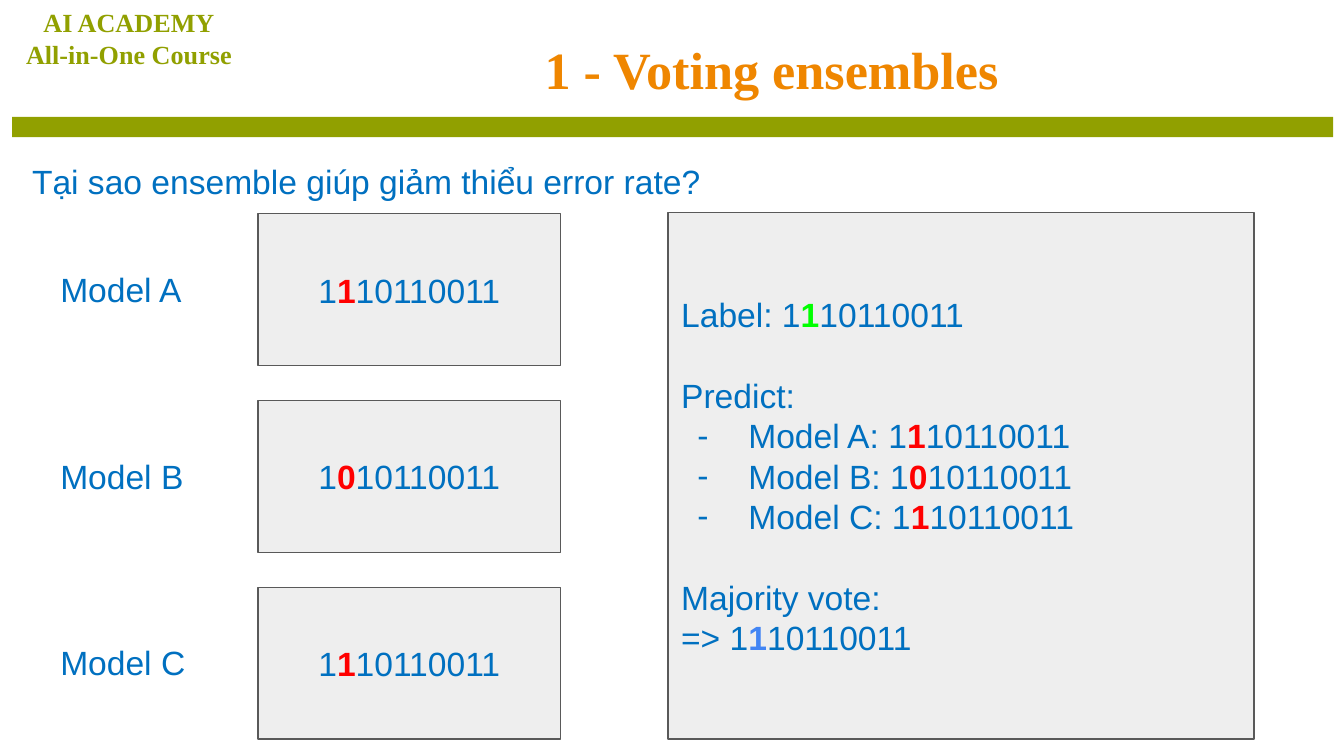
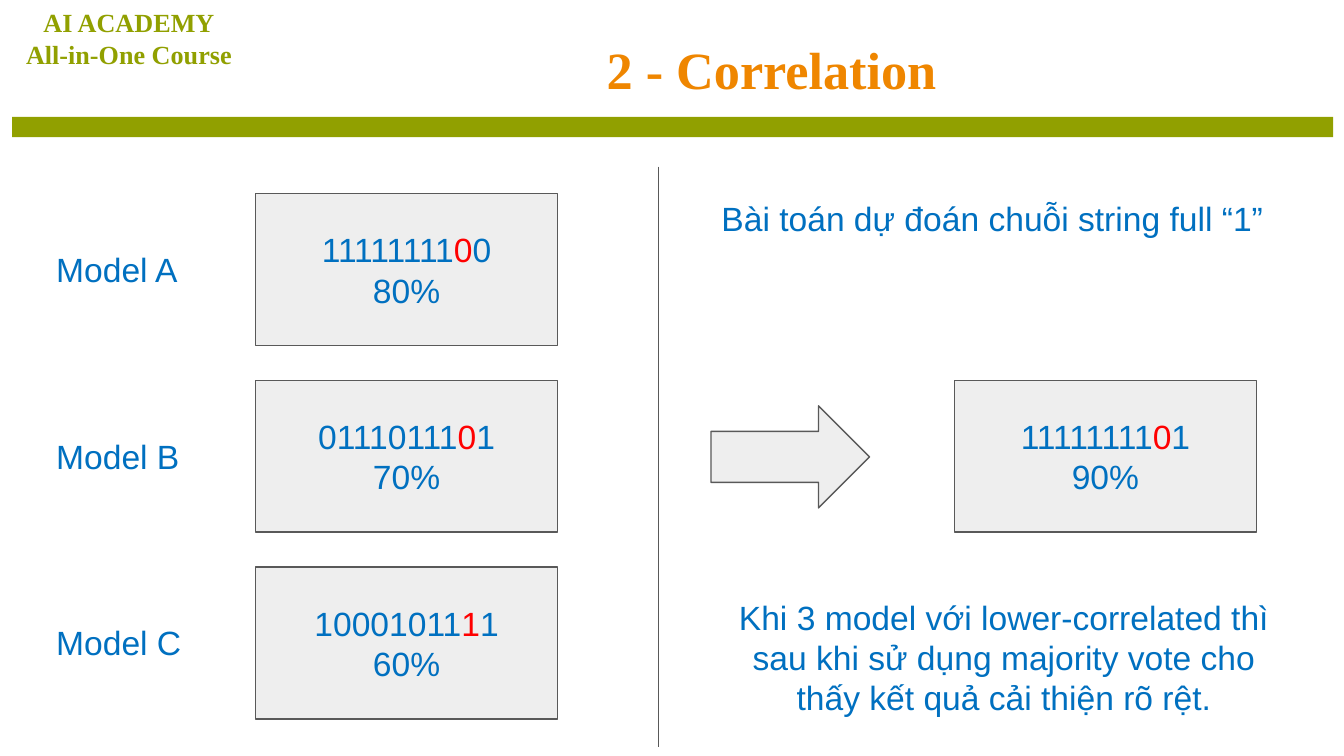
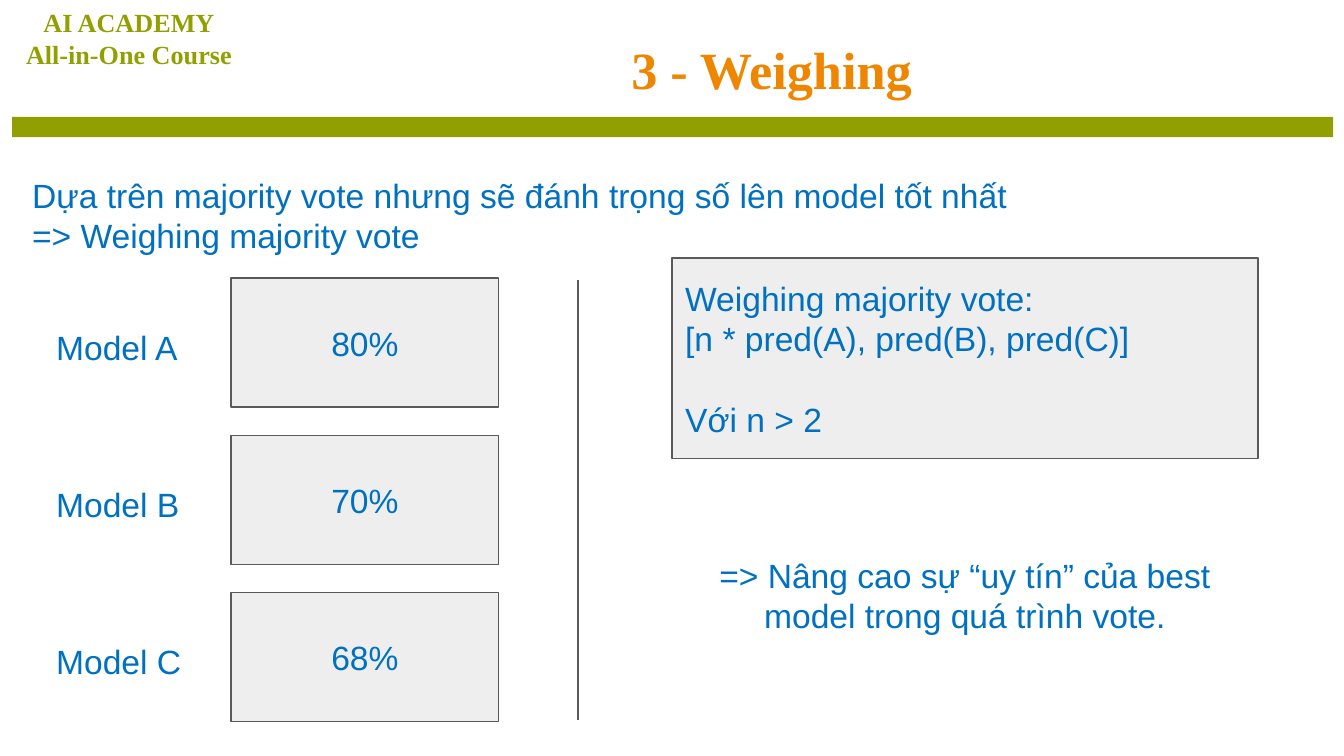
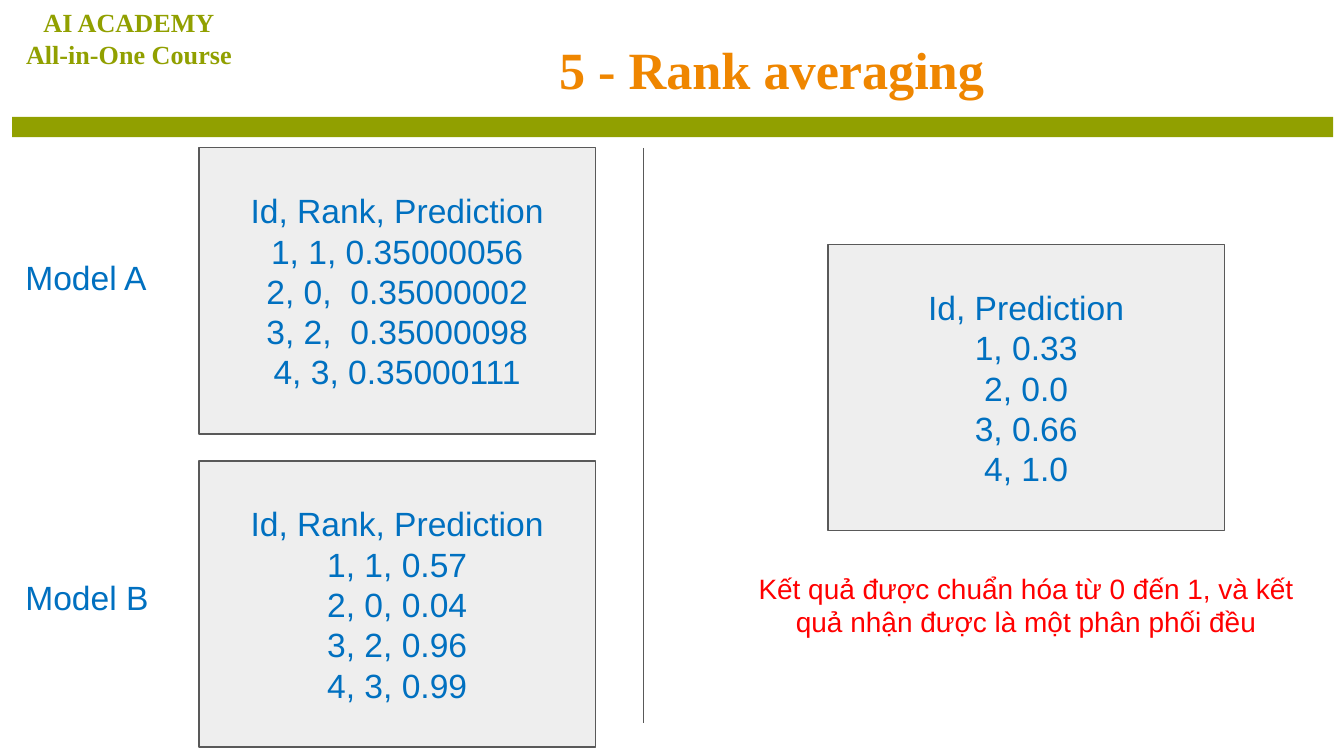
"""Build a four-slide lesson on ensemble methods."""
from dataclasses import dataclass
from typing import NamedTuple, Optional

from lxml import etree
from pptx import Presentation
from pptx.dml.color import RGBColor
from pptx.enum import shapes, text
from pptx.oxml.ns import qn
from pptx.util import Inches, Pt

OLIVE = RGBColor(0x91, 0xA0, 0x00)
ORANGE = RGBColor(0xEF, 0x86, 0x00)
BLUE = RGBColor(0x00, 0x70, 0xC0)
LIGHT_BLUE = RGBColor(0x42, 0x85, 0xF4)
RED = RGBColor(0xFF, 0x00, 0x00)
GREEN = RGBColor(0x00, 0xFF, 0x00)
PANEL = RGBColor(0xEE, 0xEE, 0xEE)
OUTLINE = RGBColor(0x59, 0x59, 0x59)

LEFT, CENTER = text.PP_ALIGN.LEFT, text.PP_ALIGN.CENTER
BLANK_LINE = 21.6  # points


class Box(NamedTuple):
    """Left, top, width and height in inches."""
    left: float
    top: float
    width: float
    height: float

    def lengths(self):
        """Return the four values as lengths."""
        return [Inches(v) for v in self]


class Style(NamedTuple):
    """Look of a whole paragraph."""
    size: float = 18
    color: RGBColor = BLUE
    name: str = "Arial"
    bold: bool = False
    align: text.PP_ALIGN = LEFT


BODY = Style()
BODY_CENTER = Style(align=CENTER)
NOTE = Style(15, RED, align=CENTER)
TITLE = Style(28, ORANGE, "Times New Roman", True, CENTER)
BRAND = Style(14, OLIVE, "Times New Roman", True, CENTER)


@dataclass
class Line:
    """A paragraph, with an optional highlighted part between two plain ones."""
    before: str
    marked: str = ""
    after: str = ""
    mark_color: RGBColor = RED
    mark_bold: bool = True
    bullet: bool = False
    gap: float = 0


@dataclass
class ModelColumn:
    """Stacked model boxes with a label beside each."""
    box: Box
    pitch: float
    label: Box
    contents: list
    label_pitch: Optional[float] = None


def add_bullet(p) -> None:
    """Give a paragraph a hanging dash."""
    ppr = p._p.get_or_add_pPr()
    ppr.set("marL", str(Inches(0.5)))
    ppr.set("indent", str(Inches(-0.38)))
    color = etree.Element(qn("a:buClr"))
    etree.SubElement(color, qn("a:srgbClr")).set("val", str(BLUE))
    size = etree.Element(qn("a:buSzPts"), val="1800")
    font = etree.Element(qn("a:buFont"), typeface=BODY.name)
    char = etree.Element(qn("a:buChar"), char="-")
    default_font = ppr.find(qn("a:defRPr"))
    for part in (color, size, font, char):
        default_font.addprevious(part)


def write(tf, lines: list, style: Style, inset: float = 0.1) -> None:
    """Fill a text frame with lines in one style."""
    tf.word_wrap = True
    tf.margin_left = tf.margin_right = Inches(0.1)
    tf.margin_top = tf.margin_bottom = Inches(inset)
    for i, line in enumerate(lines):
        if isinstance(line, str):
            line = Line(line)
        p = tf.paragraphs[0] if i == 0 else tf.add_paragraph()
        p.alignment = style.align
        if line.gap:
            p.space_before = Pt(line.gap)
        p.font.size, p.font.name = Pt(style.size), style.name
        p.font.bold = style.bold
        p.font.color.rgb = style.color
        if line.bullet:
            add_bullet(p)
        p.add_run().text = line.before
        if line.marked:
            r = p.add_run()
            r.text = line.marked
            r.font.color.rgb = line.mark_color
            r.font.bold = line.mark_bold
            p.add_run().text = line.after


def add_text(slide, box: Box, lines: list, style: Style = BODY,
             inset: float = 0.1, grow: bool = True) -> None:
    """Add a wrapping text box."""
    tf = slide.shapes.add_textbox(*box.lengths()).text_frame
    write(tf, lines, style, inset)
    tf.auto_size = (text.MSO_AUTO_SIZE.SHAPE_TO_FIT_TEXT if grow
                    else text.MSO_AUTO_SIZE.NONE)


def add_panel(slide, box: Box, lines: list = (), style: Style = BODY_CENTER,
              kind=shapes.MSO_SHAPE.RECTANGLE) -> None:
    """Add a grey outlined shape with middle-anchored text."""
    sp = slide.shapes.add_shape(kind, *box.lengths())
    sp.shadow.inherit = False
    sp.fill.solid()
    sp.fill.fore_color.rgb = PANEL
    sp.line.color.rgb = OUTLINE
    sp.line.width = Pt(0.75)
    sp.text_frame.vertical_anchor = text.MSO_ANCHOR.MIDDLE
    write(sp.text_frame, lines, style)


def add_divider(slide, x: float, top: float, bottom: float) -> None:
    """Add a thin vertical line."""
    line = slide.shapes.add_connector(
        shapes.MSO_CONNECTOR.STRAIGHT,
        Inches(x), Inches(top), Inches(x), Inches(bottom))
    line.line.color.rgb = OUTLINE
    line.line.width = Pt(0.75)
    etree.SubElement(line._element.spPr, qn("a:effectLst"))


def add_models(slide, column: ModelColumn) -> None:
    """Draw each model's box and label down the column."""
    box, label = column.box, column.label
    label_pitch = column.label_pitch or column.pitch
    for i, (letter, lines) in enumerate(zip("ABC", column.contents)):
        add_panel(slide, box._replace(top=box.top + i * column.pitch), lines)
        add_text(slide, label._replace(top=label.top + i * label_pitch),
                 [f"Model {letter}"])


def new_slide(prs, title: str):
    """Add a slide with the course name, title and band."""
    slide = prs.slides.add_slide(prs.slide_layouts[6])
    add_text(slide, Box(2.38, 0.18, 6.72, 0.63), [title], TITLE, grow=False)
    band = slide.shapes.add_shape(shapes.MSO_SHAPE.RECTANGLE,
                                  *Box(0.09, 0.87, 9.83, 0.15).lengths())
    band.shadow.inherit = False
    band.fill.solid()
    band.fill.fore_color.rgb = OLIVE
    band.line.fill.background()
    add_text(slide, Box(0.09, 0, 1.74, 0.57),
             ["AI ACADEMY", "All-in-One Course"], BRAND, 0.05, grow=False)
    return slide


def vote_line(prefix: str, digit: str, color: RGBColor = RED,
              bullet: bool = False) -> Line:
    """Return a bit string whose second digit stands out."""
    return Line(prefix + "1", digit, "10110011", color, bullet=bullet)


def score_lines(before: str, marked: str, after: str, score: str) -> list:
    """Return a bit string with one red digit, and its score."""
    return [Line(before, marked, after, mark_bold=False), score]


def voting_slide(prs) -> None:
    """Show how a majority vote corrects one model."""
    slide = new_slide(prs, "1 - Voting ensembles")
    digits = "101"
    add_text(slide, Box(0.14, 1.1, 9.78, 0.81),
             ["Tại sao ensemble giúp giảm thiểu error rate?"])
    add_models(slide, ModelColumn(
        Box(1.92, 1.59, 2.25, 1.13), 1.39, Box(0.35, 1.9, 1.22, 0.5),
        [[vote_line("", d)] for d in digits]))
    predictions = [vote_line(f"Model {m}: ", d, bullet=True)
                   for m, d in zip("ABC", digits)]
    add_panel(slide, Box(4.97, 1.58, 4.36, 3.92), [
        vote_line("Label: ", "1", GREEN),
        Line("Predict:", gap=BLANK_LINE),
        *predictions,
        Line("Majority vote:", gap=BLANK_LINE),
        vote_line("=> ", "1", LIGHT_BLUE)], BODY)


def correlation_slide(prs) -> None:
    """Show the vote of three weakly correlated models."""
    slide = new_slide(prs, "2 - Correlation")
    add_models(slide, ModelColumn(
        Box(1.9, 1.44, 2.25, 1.13), 1.39, Box(0.32, 1.75, 1.22, 0.5),
        [score_lines("11111111", "0", "0", "80%"),
         score_lines("01110111", "0", "1", "70%"),
         score_lines("10001011", "1", "1", "60%")]))
    add_divider(slide, 4.9, 1.24, 5.56)
    add_text(slide, Box(5.27, 1.37, 4.44, 0.5),
             ["Bài toán dự đoán chuỗi string full “1”"])
    add_panel(slide, Box(5.29, 3.02, 1.18, 0.76),
              kind=shapes.MSO_SHAPE.RIGHT_ARROW)
    add_panel(slide, Box(7.1, 2.83, 2.25, 1.13),
              score_lines("11111111", "0", "1", "90%"))
    add_text(slide, Box(5.25, 4.34, 4.44, 1.11),
             ["Khi 3 model với lower-correlated thì sau khi sử dụng majority "
              "vote cho thấy kết quả cải thiện rõ rệt."], BODY_CENTER)


def weighing_slide(prs) -> None:
    """Explain the weighted majority vote."""
    slide = new_slide(prs, "3 - Weighing")
    add_text(slide, Box(0.14, 1.2, 9.78, 0.81),
             ["Dựa trên majority vote nhưng sẽ đánh trọng số lên model tốt nhất",
              "=> Weighing majority vote"])
    add_models(slide, ModelColumn(
        Box(1.72, 2.07, 1.99, 0.96), 1.17, Box(0.32, 2.33, 1.34, 0.5),
        [["80%"], ["70%"], ["68%"]]))
    add_divider(slide, 4.3, 2.08, 5.36)
    add_panel(slide, Box(5, 1.92, 4.36, 1.49),
              ["Weighing majority vote:", "[n * pred(A), pred(B), pred(C)]",
               Line("Với n > 2", gap=BLANK_LINE)], BODY)
    add_text(slide, Box(5, 4.03, 4.36, 0.81),
             ["=> Nâng cao sự “uy tín” của best model trong quá trình vote."],
             BODY_CENTER)


def rank_slide(prs) -> None:
    """Show predictions turned into normalised ranks."""
    slide = new_slide(prs, "5 - Rank averaging")
    header = "Id, Rank, Prediction"
    add_models(slide, ModelColumn(
        Box(1.48, 1.1, 2.95, 2.13), 2.33, Box(0.09, 1.81, 1.22, 0.5),
        [[header, "1, 1, 0.35000056", "2, 0,  0.35000002",
          "3, 2,  0.35000098", "4, 3, 0.35000111"],
         [header, "1, 1, 0.57", "2, 0, 0.04", "3, 2, 0.96", "4, 3, 0.99"]],
        label_pitch=2.38))
    add_divider(slide, 4.79, 1.1, 5.38)
    add_panel(slide, Box(6.16, 1.82, 2.95, 2.13),
              ["Id, Prediction", "1, 0.33", "2, 0.0", "3, 0.66", "4, 1.0"])
    add_text(slide, Box(5.51, 4.15, 4.25, 0.71),
             ["Kết quả được chuẩn hóa từ 0 đến 1, và kết quả nhận được là "
              "một phân phối đều"], NOTE)


prs = Presentation()
prs.slide_width = Inches(10)
prs.slide_height = Inches(10 * 9 / 16)
for build in (voting_slide, correlation_slide, weighing_slide, rank_slide):
    build(prs)
prs.save("out.pptx")
